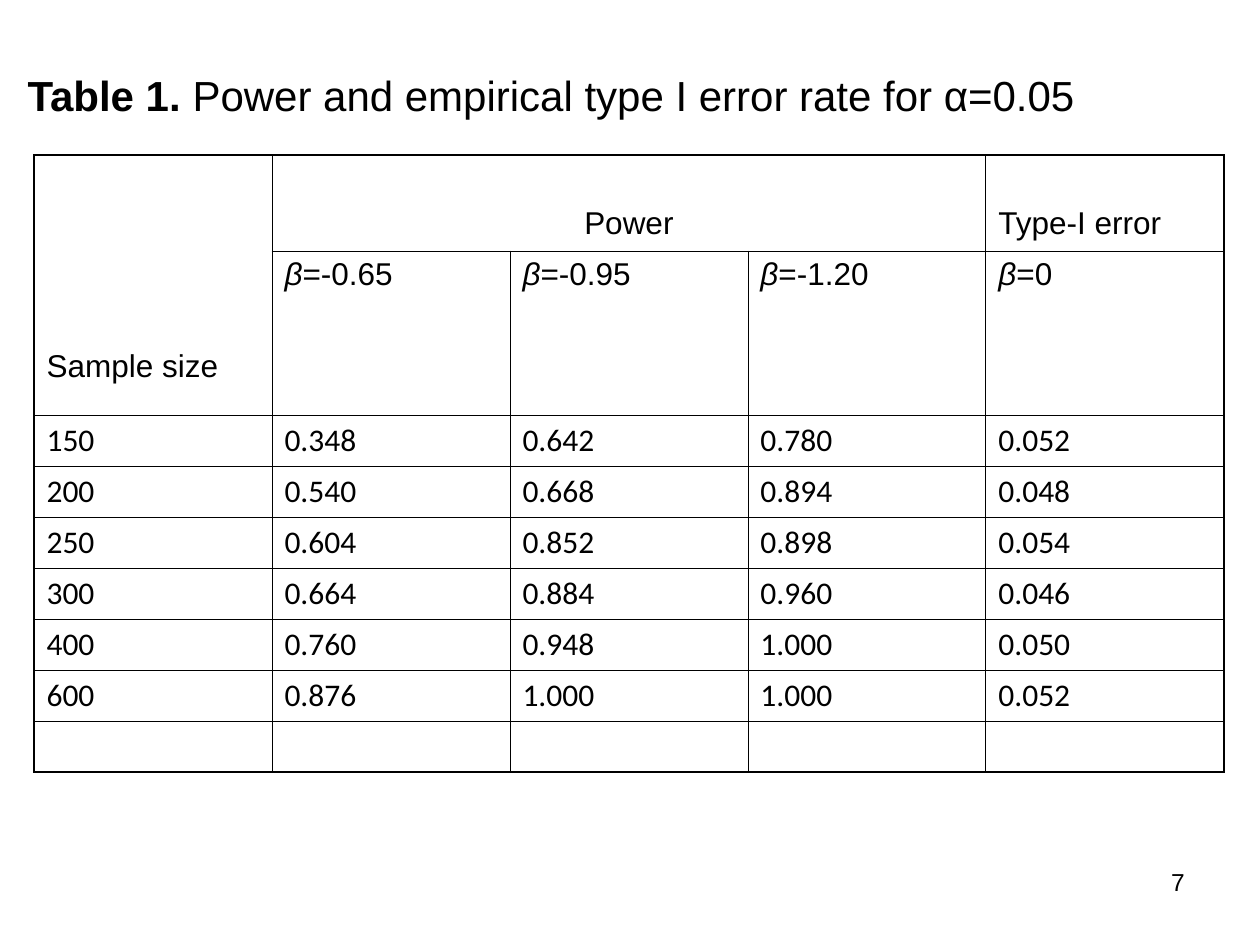
from dataclasses import dataclass

from pptx import Presentation
from pptx.dml.color import RGBColor
from pptx.enum.text import MSO_ANCHOR as Anchor, PP_ALIGN as Align
from pptx.oxml import parse_xml
from pptx.oxml.ns import nsdecls
from pptx.util import Emu, Pt

EMU_PER_PX = 914400 / 126


def px(length: int) -> Emu:
    return Emu(round(length * EMU_PER_PX))


@dataclass(frozen=True)
class Theme:
    ink: str = "000000"
    heading_font: str = "Arial"
    value_font: str = "Calibri"
    title_size: int = 24
    table_size: int = 18
    number_size: int = 14
    thin: float = 0.45
    thick: float = 1.08


THEME = Theme()


@dataclass(frozen=True)
class Span:
    text: str
    bold: bool = False
    italic: bool = False


@dataclass(frozen=True)
class CellText:
    spans: tuple[Span, ...]
    font: str = THEME.heading_font
    align: Align = Align.LEFT
    anchor: Anchor = Anchor.TOP
    bottom: int = 6


def write_spans(para, spans: tuple[Span, ...], size: int, font: str, align: Align) -> None:
    para.alignment = align
    for span in spans:
        run = para.add_run()
        run.text = span.text
        run.font.name = font
        run.font.size = Pt(size)
        run.font.bold = span.bold
        run.font.italic = span.italic
        run.font.color.rgb = RGBColor.from_string(THEME.ink)


def heading(text: str, bottom: int, align: Align = Align.LEFT) -> CellText:
    return CellText((Span(text),), align=align, anchor=Anchor.BOTTOM, bottom=bottom)


def beta(value: str) -> CellText:
    return CellText((Span("β", italic=True), Span(f"={value}")))


def values(line: str) -> list[CellText]:
    return [CellText((Span(text),), THEME.value_font) for text in line.split()]


def draw_borders(cell, outer_edges: dict[str, bool]) -> None:
    properties = cell._tc.get_or_add_tcPr()
    for side, is_outer in outer_edges.items():
        width = Pt(THEME.thick if is_outer else THEME.thin)
        properties.append(parse_xml(
            f'<a:ln{side} {nsdecls("a")} w="{width}"><a:solidFill>'
            f'<a:srgbClr val="{THEME.ink}"/></a:solidFill></a:ln{side}>'))
    cell.fill.background()


def fill_cell(cell, content: CellText) -> None:
    cell.vertical_anchor = content.anchor
    cell.margin_bottom = px(content.bottom)
    write_spans(cell.text_frame.paragraphs[0], content.spans,
                THEME.table_size, content.font, content.align)


COLUMN_WIDTH = 238
ROW_HEIGHTS = [96, 164] + [51] * 7
BLANK = None
ROWS = [
    [heading("Sample size", 31), heading("Power", 10, Align.CENTER),
     BLANK, BLANK, heading("Type-I error", 10)],
    [BLANK, beta("-0.65"), beta("-0.95"), beta("-1.20"), beta("0")],
    values("150 0.348 0.642 0.780 0.052"),
    values("200 0.540 0.668 0.894 0.048"),
    values("250 0.604 0.852 0.898 0.054"),
    values("300 0.664 0.884 0.960 0.046"),
    values("400 0.760 0.948 1.000 0.050"),
    values("600 0.876 1.000 1.000 0.052"),
    [BLANK] * 5,
]


def draw_title(page) -> None:
    title = page.shapes.title
    title.left, title.top, title.width, title.height = map(px, (15, 16, 1134, 158))
    title.text_frame.vertical_anchor = Anchor.MIDDLE
    write_spans(title.text_frame.paragraphs[0],
                (Span("Table 1. ", bold=True),
                 Span("Power and empirical type I error rate for α=0.05")),
                THEME.title_size, THEME.heading_font, Align.LEFT)


def draw_table(page) -> None:
    row_count, column_count = len(ROWS), len(ROWS[0])
    table = page.shapes.add_table(
        row_count, column_count, px(34), px(155),
        px(COLUMN_WIDTH * column_count), px(sum(ROW_HEIGHTS))).table
    table.first_row = table.horz_banding = False
    for column in table.columns:
        column.width = px(COLUMN_WIDTH)
    for row, height in zip(table.rows, ROW_HEIGHTS):
        row.height = px(height)
    table.cell(0, 0).merge(table.cell(1, 0))
    table.cell(0, 1).merge(table.cell(0, 3))
    for r, contents in enumerate(ROWS):
        for c, content in enumerate(contents):
            cell = table.cell(r, c)
            draw_borders(cell, {"L": c == 0, "R": c == column_count - 1,
                                "T": r == 0, "B": r == row_count - 1})
            if content:
                fill_cell(cell, content)


def draw_page_number(page) -> None:
    box = page.shapes.add_textbox(px(903), px(861), px(294), px(66))
    box.text_frame.word_wrap = True
    write_spans(box.text_frame.paragraphs[0], (Span("7"),),
                THEME.number_size, THEME.heading_font, Align.RIGHT)


def main() -> None:
    deck = Presentation()
    deck.slide_width, deck.slide_height = px(1260), px(945)
    page = deck.slides.add_slide(deck.slide_layouts[5])
    draw_title(page)
    draw_table(page)
    draw_page_number(page)
    deck.save("out.pptx")


if __name__ == "__main__":
    main()
